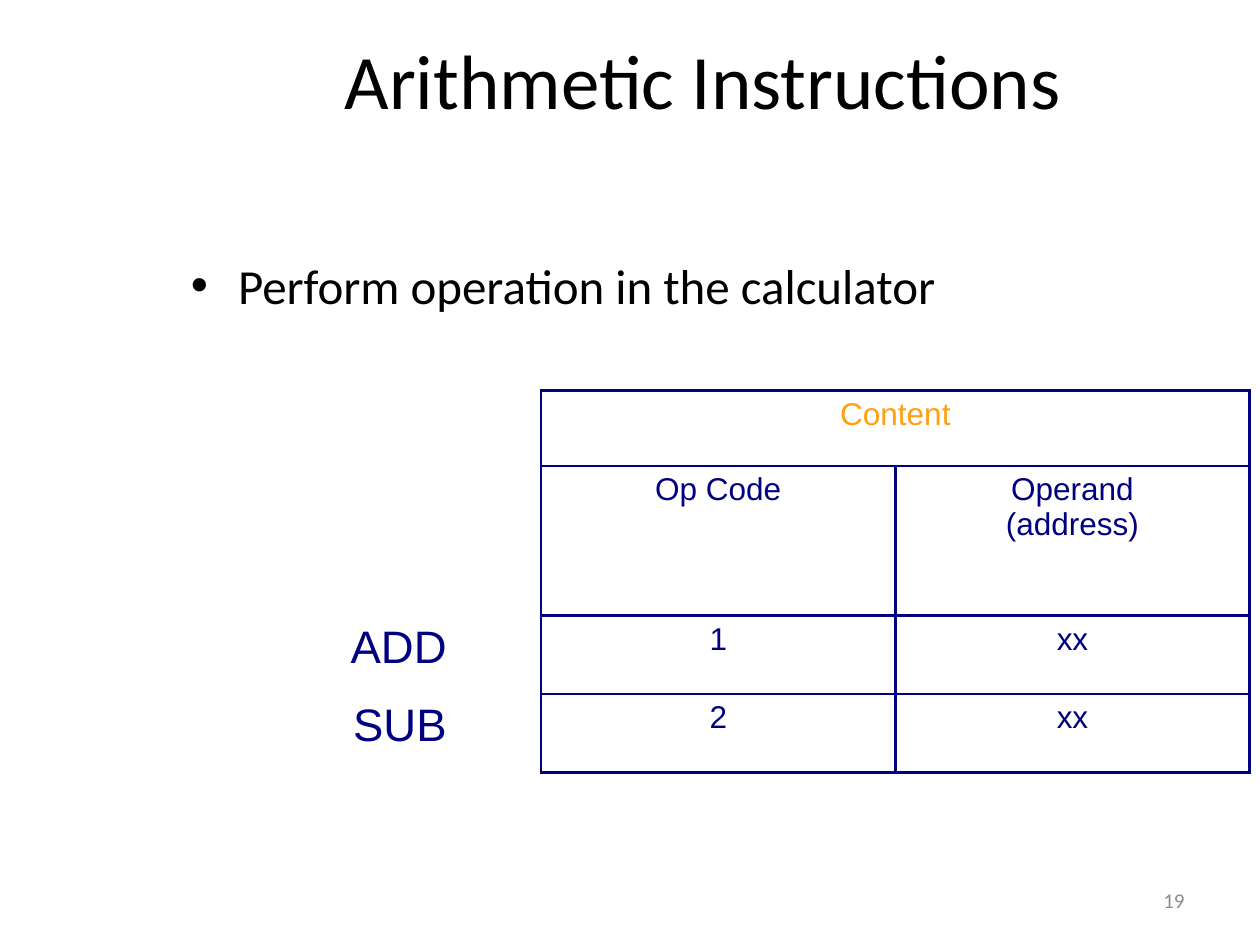
import pptx
import pptx.util
import pptx.dml.color
import pptx.enum.text
import pptx.oxml.ns
import lxml.etree

Cm = pptx.util.Cm
Pt = pptx.util.Pt
RGB = pptx.dml.color.RGBColor
ALIGN = pptx.enum.text.PP_ALIGN
MIDDLE = pptx.enum.text.MSO_ANCHOR.MIDDLE
qn = pptx.oxml.ns.qn

BLACK = RGB(0x00, 0x00, 0x00)
WHITE = RGB(0xFF, 0xFF, 0xFF)
NAVY = RGB(0x00, 0x00, 0x80)
ORANGE = RGB(0xFF, 0x9F, 0x11)
GRAY = RGB(0x8C, 0x8C, 0x8C)

COLS = [5.66, 1.65, 7.14, 7.14]
ROWS = [1.52, 3.02, 1.58, 1.58]
CELLS = [
    ["", "", "Content", ""],
    ["", "", "Op Code", "Operand\n(address)"],
    ["ADD", "", "1", "xx"],
    ["SUB", "", "2", "xx"],
]


def style(frame, align, color, **form):
    """Give every paragraph one alignment, colour and set of font values."""
    for para in frame.paragraphs:
        para.alignment = align
        para.font.color.rgb = color
        for name, value in form.items():
            setattr(para.font, name, value)


def place(shape, box):
    for name, value in zip(("left", "top", "width", "height"), box):
        setattr(shape, name, Cm(value))


def add_text(slide, box, text):
    shape = slide.shapes.add_textbox(*map(Cm, box))
    frame = shape.text_frame
    frame.word_wrap = True
    frame.text = text
    return frame


def add_title(slide, box):
    title = slide.shapes.title
    place(title, box)
    frame = title.text_frame
    frame.text = "Arithmetic Instructions"
    frame.vertical_anchor = MIDDLE
    style(frame, ALIGN.CENTER, BLACK, size=Pt(44), name="Calibri")


def add_point(slide, box):
    frame = add_text(slide, box, "Perform operation in the calculator")
    frame.margin_top = Cm(1.55)
    style(frame, ALIGN.LEFT, BLACK, size=Pt(28), name="Calibri")
    props = frame.paragraphs[0]._p.get_or_add_pPr()
    props.set("marL", str(Cm(0.95)))
    props.set("indent", str(-Cm(0.95)))
    font = lxml.etree.SubElement(props, qn("a:buFont"))
    font.set("typeface", "Arial")
    mark = lxml.etree.SubElement(props, qn("a:buChar"))
    mark.set("char", "•")
    for part in (mark, font):
        props.insert(0, part)


def add_edges(cell, col):
    """Hide the edges of the label columns and rule the others."""
    props = cell._tc.get_or_add_tcPr()
    for side in "LRTB":
        ruled = col > 1 or (col == 1 and side == "R")
        line = lxml.etree.SubElement(props, qn("a:ln" + side))
        line.set("w", str(Pt(1.5 if ruled else 1)))
        fill = lxml.etree.SubElement(line, qn("a:solidFill"))
        color = lxml.etree.SubElement(fill, qn("a:srgbClr"))
        color.set("val", str(NAVY if ruled else WHITE))


def add_codes(slide, box):
    shape = slide.shapes.add_table(len(ROWS), len(COLS), *map(Cm, box))
    table = shape.table
    table.first_row = table.horz_banding = False
    for col, width in zip(table.columns, COLS):
        col.width = Cm(width)
    for row, height in zip(table.rows, ROWS):
        row.height = Cm(height)
    for r, texts in enumerate(CELLS):
        for c, text in enumerate(texts):
            cell = table.cell(r, c)
            cell.text = text
            align = ALIGN.CENTER if c else ALIGN.RIGHT
            size = 26 if c == 0 and text else 18
            style(cell.text_frame, align, NAVY if r else ORANGE,
                  size=Pt(size), name="Arial", bold=False)
            add_edges(cell, c)
            cell.fill.background()
    table.cell(0, 2).merge(table.cell(0, 3))


def add_number(slide, box):
    frame = add_text(slide, box, "19")
    frame.vertical_anchor = MIDDLE
    style(frame, ALIGN.RIGHT, GRAY, size=Pt(12), name="Calibri")


def main():
    deck = pptx.Presentation()
    deck.slide_width, deck.slide_height = Cm(25.4), Cm(19.05)
    slide = deck.slides.add_slide(deck.slide_layouts[5])
    add_title(slide, (3.38, 0, 21.59, 3.18))
    add_point(slide, (3.6, 3.6, 21.59, 4.5))
    add_codes(slide, (3.6, 7.87, sum(COLS), sum(ROWS)))
    add_number(slide, (18.2, 17.65, 5.93, 1.01))
    deck.save("out.pptx")


if __name__ == "__main__":
    main()
